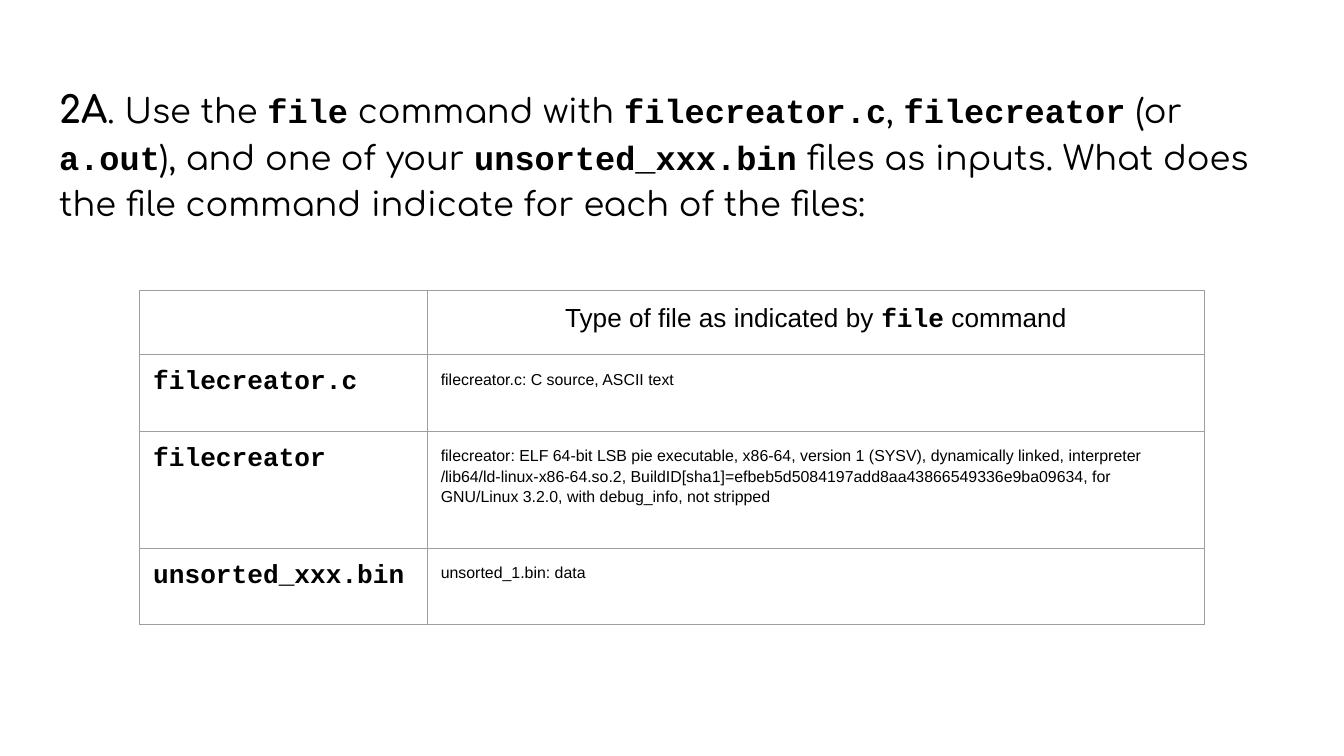
"""Builds a question slide with a table of results from the file command."""
import pptx
import pptx.dml.color
import pptx.enum.text
import pptx.oxml
import pptx.oxml.ns
import pptx.util

COLORS = {"text": "000000", "border": "9E9E9E"}
WIDTH = 10
HEIGHT = WIDTH * 9 / 16
MARGIN = 0.1
COLUMNS = [2.14, 5.78]
ROWS = [0.48, 0.57, 0.87, 0.57]
CODE_FONT = "Courier New"

QUESTION = (
    ". Use the `file` command with `filecreator.c`, `filecreator` (or `a.out`), "
    "and one of your `unsorted_xxx.bin` files as inputs. "
    "What does the file command indicate for each of the files:"
)
HEADING = "Type of file as indicated by `file` command"
RESULTS = [
    ("`filecreator.c`", "filecreator.c: C source, ASCII text"),
    (
        "`filecreator`",
        "filecreator: ELF 64-bit LSB pie executable, x86-64, version 1 (SYSV), "
        "dynamically linked, interpreter /lib64/ld-linux-x86-64.so.2, "
        "BuildID[sha1]=efbeb5d5084197add8aa43866549336e9ba09634, "
        "for GNU/Linux 3.2.0, with debug_info, not stripped",
    ),
    ("`unsorted_xxx.bin`", "unsorted_1.bin: data"),
]


def add_text(p, text, font="Arial", size=14, bold=False, align="LEFT", spacing=1.0):
    """Append text to a paragraph, setting backquoted parts as bold code."""
    p.alignment = getattr(pptx.enum.text.PP_ALIGN, align)
    p.line_spacing = spacing
    p.font.size = pptx.util.Pt(size)
    for i, part in enumerate(text.split("`")):
        if not part:
            continue
        is_code = i % 2 == 1
        r = p.add_run()
        r.text = part
        r.font.name = CODE_FONT if is_code else font
        r.font.size = pptx.util.Pt(size)
        r.font.bold = bold or is_code
        r.font.color.rgb = pptx.dml.color.RGBColor.from_string(COLORS["text"])


def set_margins(target):
    """Give a text frame or cell equal margins on all sides."""
    for side in ("left", "top", "right", "bottom"):
        setattr(target, f"margin_{side}", pptx.util.Inches(MARGIN))


def set_borders(cell):
    """Draw a thin line on each side of a cell."""
    tc_pr = cell._tc.get_or_add_tcPr()
    for i, side in enumerate("LRTB"):
        line = pptx.oxml.parse_xml(
            f'<a:ln{side} {pptx.oxml.ns.nsdecls("a")} w="{pptx.util.Pt(0.75)}">'
            f'<a:solidFill><a:srgbClr val="{COLORS["border"]}"/></a:solidFill>'
            f"</a:ln{side}>"
        )
        tc_pr.insert(i, line)


def add_title(s):
    """Place the question in the title placeholder."""
    sp = s.shapes.title
    sp.left, sp.top = pptx.util.Inches(0.34), pptx.util.Inches(0.49)
    sp.width, sp.height = pptx.util.Inches(WIDTH - 2 * 0.34), pptx.util.Inches(4.8)
    tf = sp.text_frame
    tf.word_wrap = True
    tf.auto_size = pptx.enum.text.MSO_AUTO_SIZE.NONE
    tf.vertical_anchor = pptx.enum.text.MSO_ANCHOR.TOP
    set_margins(tf)
    p = tf.paragraphs[0]
    add_text(p, "2A", font="Comfortaa", size=20, bold=True, spacing=1.15)
    add_text(p, QUESTION, font="Comfortaa", size=18, spacing=1.15)


def fill_cell(cell, text, **text_format):
    """Write one plain bordered cell."""
    cell.fill.background()
    cell.vertical_anchor = pptx.enum.text.MSO_ANCHOR.TOP
    set_margins(cell)
    set_borders(cell)
    add_text(cell.text_frame.paragraphs[0], text, **text_format)


def add_results(s):
    """Add the table of file types."""
    frame = s.shapes.add_table(
        len(ROWS), len(COLUMNS),
        pptx.util.Inches(1.04), pptx.util.Inches(2.16),
        pptx.util.Inches(sum(COLUMNS)), pptx.util.Inches(sum(ROWS)),
    )
    table = frame.table
    table.first_row = table.horz_banding = False
    for column, width in zip(table.columns, COLUMNS):
        column.width = pptx.util.Inches(width)
    for row, height in zip(table.rows, ROWS):
        row.height = pptx.util.Inches(height)
    fill_cell(table.cell(0, 0), "")
    fill_cell(table.cell(0, 1), HEADING, align="CENTER")
    for i, (name, result) in enumerate(RESULTS, start=1):
        fill_cell(table.cell(i, 0), name)
        fill_cell(table.cell(i, 1), result, size=8.5, spacing=1.15)


def main():
    """Build and save the slide."""
    prs = pptx.Presentation()
    prs.slide_width = pptx.util.Inches(WIDTH)
    prs.slide_height = pptx.util.Inches(HEIGHT)
    s = prs.slides.add_slide(prs.slide_layouts[5])
    add_title(s)
    add_results(s)
    prs.save("out.pptx")


if __name__ == "__main__":
    main()
